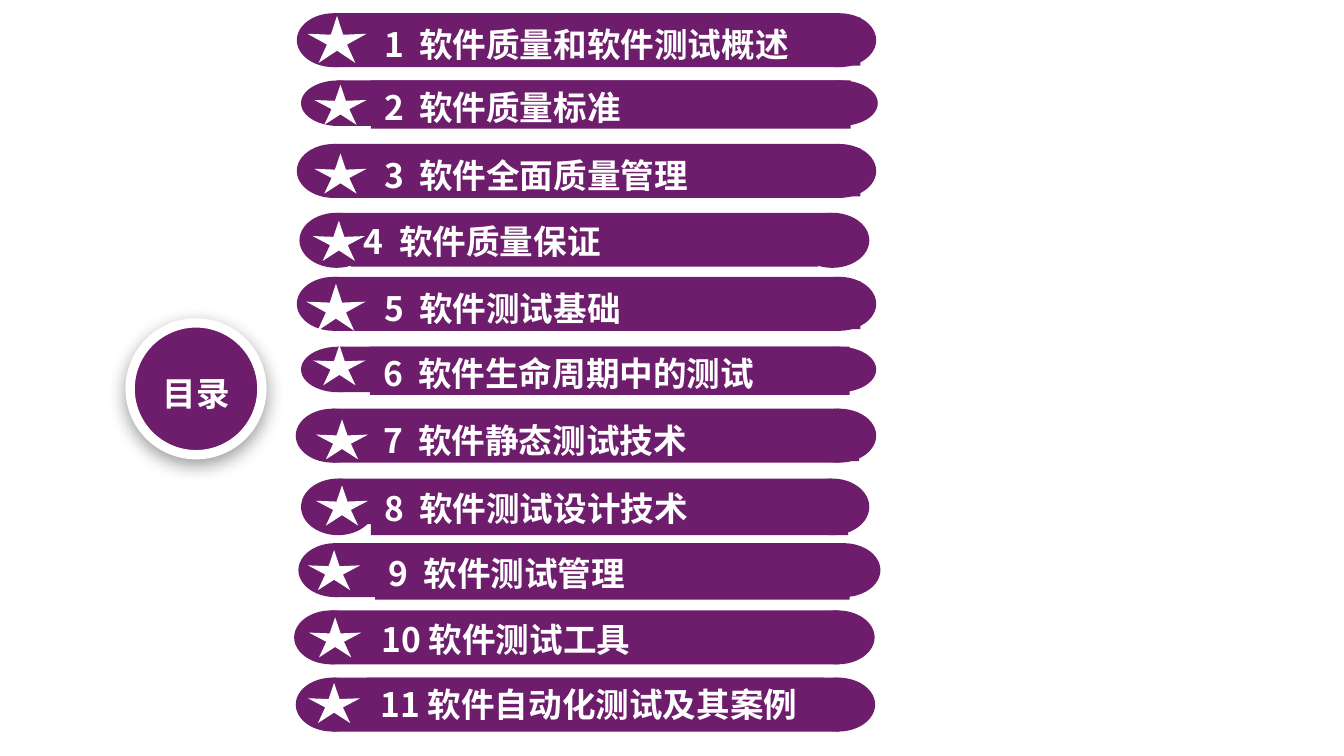
from lxml import etree
from pptx import Presentation
from pptx.dml.color import RGBColor
from pptx.enum import shapes, text
from pptx.oxml.ns import qn
from pptx.util import Cm, Pt

PURPLE = RGBColor(0x6D, 0x1D, 0x6B)
WHITE = RGBColor(0xFF, 0xFF, 0xFF)
FONT = "Noto Sans CJK SC"

CAP_W = 1.4
BIG_STAR = (1.12, 0.89)
STAR = (0.99, 0.76)

# title, row box, body height, label box in the row, star offset and size
CHAPTERS = [
    ("软件质量和软件测试概述", (5.61, 0.25, 10.95, 1.02), 1.02,
     (1.4, 0.08, 9.25, 0.91), (0.2, 0.05), BIG_STAR),
    ("软件质量标准", (5.69, 1.52, 10.9, 0.86), 0.86,
     (1.32, 0, 9.07, 0.91), (0.25, 0.08), STAR),
    ("软件全面质量管理", (5.61, 2.72, 10.95, 1.02), 1.02,
     (1.4, 0.08, 9.25, 0.91), (0.33, 0.18), STAR),
    ("软件质量保证", (5.66, 4.02, 10.77, 1.04), 0.91,
     (0.97, 0.03, 8.84, 0.99), (0.25, 0.15), STAR),
    ("软件测试基础", (5.61, 5.23, 10.95, 1.02), 1.02,
     (1.4, 0.08, 9.25, 0.91), (0.18, 0.13), BIG_STAR),
    ("软件生命周期中的测试", (5.69, 6.55, 10.87, 0.86), 0.86,
     (1.3, 0, 9.07, 0.91), (0.23, -0.03), STAR),
    ("软件静态测试技术", (5.59, 7.72, 10.97, 1.02), 1.02,
     (1.4, 0.08, 9.25, 0.91), (0.38, 0.2), STAR),
    ("软件测试设计技术", (5.69, 9.04, 10.74, 1.07), 0.86,
     (1.32, 0.05, 9.02, 1.02), (0.28, 0.13), STAR),
    ("软件测试管理", (5.64, 10.26, 11, 1.02), 1.02,
     (1.45, 0.05, 8.97, 1.02), (0.18, 0.13), STAR),
    ("软件测试工具", (5.56, 11.53, 10.97, 1.02), 1.02,
     (1.4, 0.03, 8.53, 0.91), (0.28, 0.13), STAR),
    ("软件自动化测试及其案例", (5.59, 12.8, 10.95, 1.02), 1.02,
     (1.35, 0, 8.64, 0.91), (0.23, 0.1), STAR),
]


def fill_solid(sp, color):
    sp.fill.solid()
    sp.fill.fore_color.rgb = color


def add_plain(parent, kind, box, color):
    """Add a filled preset shape without outline or shadow."""
    sp = parent.add_shape(kind, *map(Cm, box))
    sp.shadow.inherit = False
    fill_solid(sp, color)
    sp.line.fill.background()
    return sp


def format_paragraph(p):
    """Set the shared bold white face, for East Asian text too."""
    p.font.name = FONT
    p.font.size = Pt(18)
    p.font.bold = True
    p.font.color.rgb = WHITE
    props = p._p.pPr.find(qn("a:defRPr"))
    etree.SubElement(props, qn("a:ea"), typeface=FONT)


def add_soft_shadow(sp):
    effects = sp._element.spPr.find(qn("a:effectLst"))
    shadow = etree.SubElement(effects, qn("a:outerShdw"), blurRad=str(Pt(10)),
                              dist=str(Pt(3)), dir="5400000", rotWithShape="0")
    color = etree.SubElement(shadow, qn("a:srgbClr"), val="000000")
    etree.SubElement(color, qn("a:alpha"), val="40000")


def add_title_badge(slide, box):
    circle = add_plain(slide.shapes, shapes.MSO_SHAPE.OVAL, box, PURPLE)
    circle.line.color.rgb = WHITE
    circle.line.width = Pt(5)
    add_soft_shadow(circle)

    title = slide.shapes.title
    circle._element.addnext(title._element)
    title.left, title.top, title.width, title.height = map(Cm, box)
    tf = title.text_frame
    tf.auto_size = text.MSO_AUTO_SIZE.NONE
    tf.vertical_anchor = text.MSO_ANCHOR.MIDDLE
    tf.margin_left = tf.margin_right = Cm(0.18)
    tf.margin_top = tf.margin_bottom = Cm(0.08)
    tf.text = "目录"
    p = tf.paragraphs[0]
    p.alignment = text.PP_ALIGN.CENTER
    p.line_spacing = 1.2
    format_paragraph(p)


def add_chapter(slide, label, box, body_h, label_box, star_at, star_size):
    """Add a round-ended bar with its label and star."""
    x, y, w, h = box
    bar = slide.shapes.add_group_shape().shapes
    add_plain(bar, shapes.MSO_SHAPE.RECTANGLE,
              (x + CAP_W / 2, y, w - CAP_W, body_h), PURPLE)
    for cap_x in (x, x + w - CAP_W):
        add_plain(bar, shapes.MSO_SHAPE.OVAL, (cap_x, y, CAP_W, h), PURPLE)

    dx, dy, label_w, label_h = label_box
    tb = bar.add_textbox(Cm(x + dx), Cm(y + dy), Cm(label_w), Cm(label_h))
    fill_solid(tb, PURPLE)
    tf = tb.text_frame
    tf.word_wrap = True
    tf.text = label
    format_paragraph(tf.paragraphs[0])

    star = add_plain(slide.shapes, shapes.MSO_SHAPE.STAR_5_POINT,
                     (x + star_at[0], y + star_at[1], *star_size), WHITE)
    star.adjustments[0] = 0.169


def main():
    prs = Presentation()
    prs.slide_width, prs.slide_height = Cm(25.4), Cm(14.28)
    slide = prs.slides.add_slide(prs.slide_layouts[5])
    add_title_badge(slide, (2.46, 6.1, 2.49, 2.49))
    for number, (title, *layout) in enumerate(CHAPTERS, 1):
        gap = "  " if number < 10 else " "
        add_chapter(slide, f"{number}{gap}{title}", *layout)
    prs.save("out.pptx")


if __name__ == "__main__":
    main()
